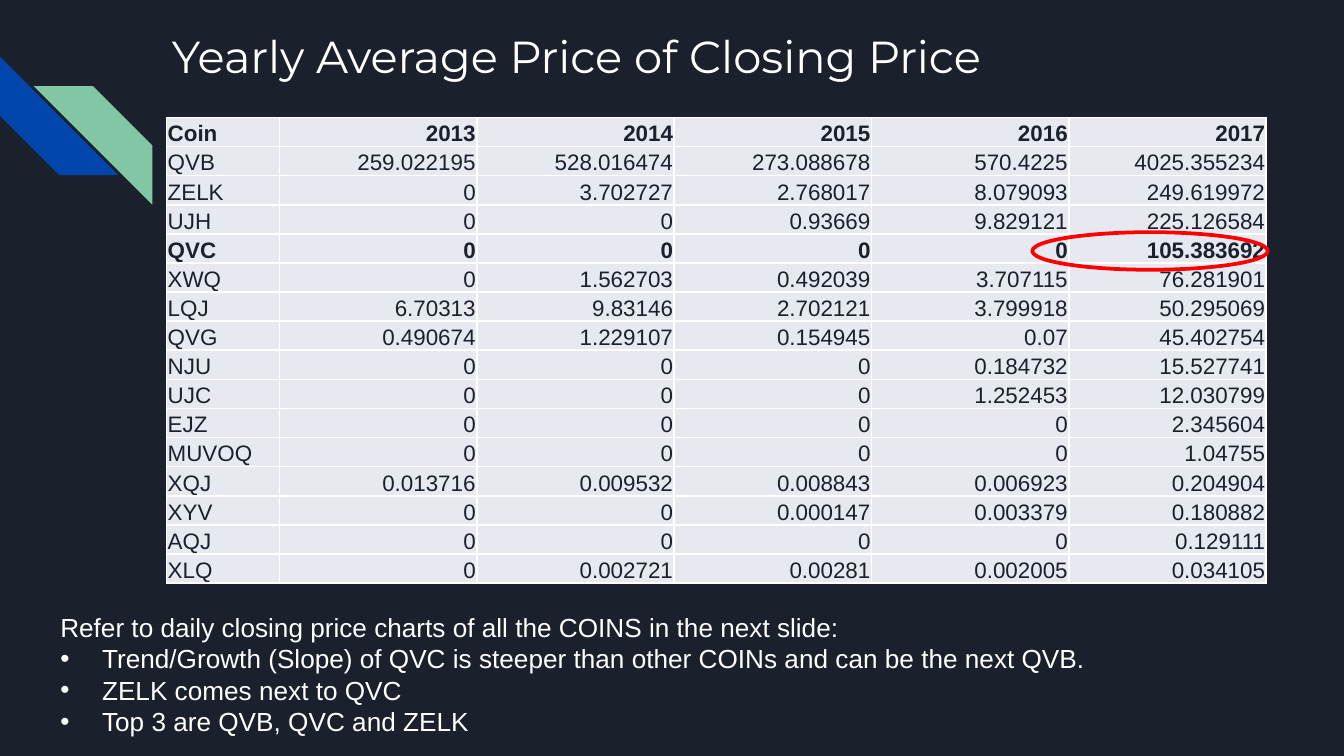
from lxml import etree
from pptx import Presentation
from pptx import util as u
from pptx.dml.color import RGBColor
from pptx.enum import shapes, text
from pptx.oxml.ns import qn

COLORS = {
    "background": "1B212C", "blue": "0145AC", "green": "82C7A5",
    "white": "FFFFFF", "cell": "E7E9F1", "dark": "1B212C", "red": "FF0000",
}
TITLE = "Yearly Average Price of Closing Price"
PRICES = [
    ("Coin", "2013", "2014", "2015", "2016", "2017"),
    ("QVB", "259.022195", "528.016474", "273.088678", "570.4225", "4025.355234"),
    ("ZELK", "0", "3.702727", "2.768017", "8.079093", "249.619972"),
    ("UJH", "0", "0", "0.93669", "9.829121", "225.126584"),
    ("QVC", "0", "0", "0", "0", "105.383692"),
    ("XWQ", "0", "1.562703", "0.492039", "3.707115", "76.281901"),
    ("LQJ", "6.70313", "9.83146", "2.702121", "3.799918", "50.295069"),
    ("QVG", "0.490674", "1.229107", "0.154945", "0.07", "45.402754"),
    ("NJU", "0", "0", "0", "0.184732", "15.527741"),
    ("UJC", "0", "0", "0", "1.252453", "12.030799"),
    ("EJZ", "0", "0", "0", "0", "2.345604"),
    ("MUVOQ", "0", "0", "0", "0", "1.04755"),
    ("XQJ", "0.013716", "0.009532", "0.008843", "0.006923", "0.204904"),
    ("XYV", "0", "0", "0.000147", "0.003379", "0.180882"),
    ("AQJ", "0", "0", "0", "0", "0.129111"),
    ("XLQ", "0", "0.002721", "0.00281", "0.002005", "0.034105"),
]
BOLD_ROWS = ("Coin", "QVC")
INTRO = "Refer to daily closing price charts of all the COINS in the next slide:"
BULLETS = [
    "Trend/Growth (Slope) of QVC is steeper than other COINs and can be the next QVB.",
    "ZELK comes next to QVC",
    "Top 3 are QVB, QVC and ZELK",
]
COIN_W, YEAR_W, ROW_H = 2.13, 3.73, 0.55


def rgb(name):
    return RGBColor.from_string(COLORS[name])


def box(*cm):
    return [u.Cm(v) for v in cm]


def style(p, size, color, font="Arial", bold=False):
    for r in p.runs:
        r.font.size = u.Pt(size)
        r.font.name = font
        r.font.bold = bold
        r.font.color.rgb = rgb(color)


def add_stripe(s, left, top, color):
    sp = s.shapes.add_shape(shapes.MSO_SHAPE.DIAGONAL_STRIPE, *box(left, top, 2.24, 2.24))
    sp.adjustments[0] = 0.5
    sp.shadow.inherit = False
    sp.fill.solid()
    sp.fill.fore_color.rgb = rgb(color)
    sp.line.fill.background()
    return sp


def add_text(s, lines, place, size, font="Arial"):
    tf = s.shapes.add_textbox(*box(*place)).text_frame
    tf.word_wrap = True
    tf.text = "\n".join(lines)
    for p in tf.paragraphs:
        style(p, size, "white", font)
    return tf


def add_bullet(p):
    pPr = p._p.get_or_add_pPr()
    pPr.set("marL", str(u.Cm(0.79)))
    pPr.set("indent", str(-u.Cm(0.79)))
    etree.SubElement(pPr, qn("a:buFont")).set("typeface", "Arial")
    etree.SubElement(pPr, qn("a:buChar")).set("char", "•")


def add_borders(cell):
    tcPr = cell._tc.get_or_add_tcPr()
    for i, side in enumerate(("lnL", "lnR", "lnT", "lnB")):
        ln = etree.Element(qn(f"a:{side}"), w=str(u.Pt(1)))
        fill = etree.SubElement(ln, qn("a:solidFill"))
        etree.SubElement(fill, qn("a:srgbClr")).set("val", COLORS["white"])
        tcPr.insert(i, ln)


def fill_cell(cell, value, is_year, bold):
    cell.text = value
    cell.margin_left = cell.margin_right = cell.margin_top = u.Cm(0.02)
    cell.margin_bottom = 0
    cell.vertical_anchor = text.MSO_ANCHOR.BOTTOM
    cell.fill.solid()
    cell.fill.fore_color.rgb = rgb("cell")
    add_borders(cell)
    p = cell.text_frame.paragraphs[0]
    p.alignment = text.PP_ALIGN.RIGHT if is_year else text.PP_ALIGN.LEFT
    style(p, 12, "dark", bold=bold)


def add_prices(s):
    n_rows, n_cols = len(PRICES), len(PRICES[0])
    width = COIN_W + YEAR_W * (n_cols - 1)
    table = s.shapes.add_table(n_rows, n_cols, *box(3.15, 2.22, width, ROW_H * n_rows)).table
    for c, col in enumerate(table.columns):
        col.width = u.Cm(YEAR_W if c else COIN_W)
    for r, values in enumerate(PRICES):
        table.rows[r].height = u.Cm(ROW_H)
        for c, value in enumerate(values):
            fill_cell(table.cell(r, c), value, c > 0, values[0] in BOLD_ROWS)


def main():
    prs = Presentation()
    prs.slide_width, prs.slide_height = box(25.4, 14.29)
    s = prs.slides.add_slide(prs.slide_layouts[6])
    s.background.fill.solid()
    s.background.fill.fore_color.rgb = rgb("background")

    add_stripe(s, 0, 1.07, "blue").rotation = 270
    green = add_stripe(s, 0.64, 1.63, "green")
    green._element.spPr.find(qn("a:xfrm")).set("flipH", "1")

    title = add_text(s, [TITLE], (3, 0.3, 19.56, 2.08), 24, "Montserrat")
    title.margin_left = title.margin_right = u.Cm(0.25)
    title.margin_top = title.margin_bottom = u.Cm(0.25)

    add_prices(s)

    ring = s.shapes.add_shape(shapes.MSO_SHAPE.OVAL, *box(19.51, 4.39, 4.45, 0.71))
    ring.shadow.inherit = False
    ring.fill.background()
    ring.line.color.rgb = rgb("red")
    ring.line.width = u.Pt(2)

    notes = add_text(s, [INTRO] + BULLETS, (0.89, 11.43, 23.04, 2.64), 14)
    for p in notes.paragraphs[1:]:
        add_bullet(p)

    prs.save("out.pptx")


if __name__ == "__main__":
    main()
